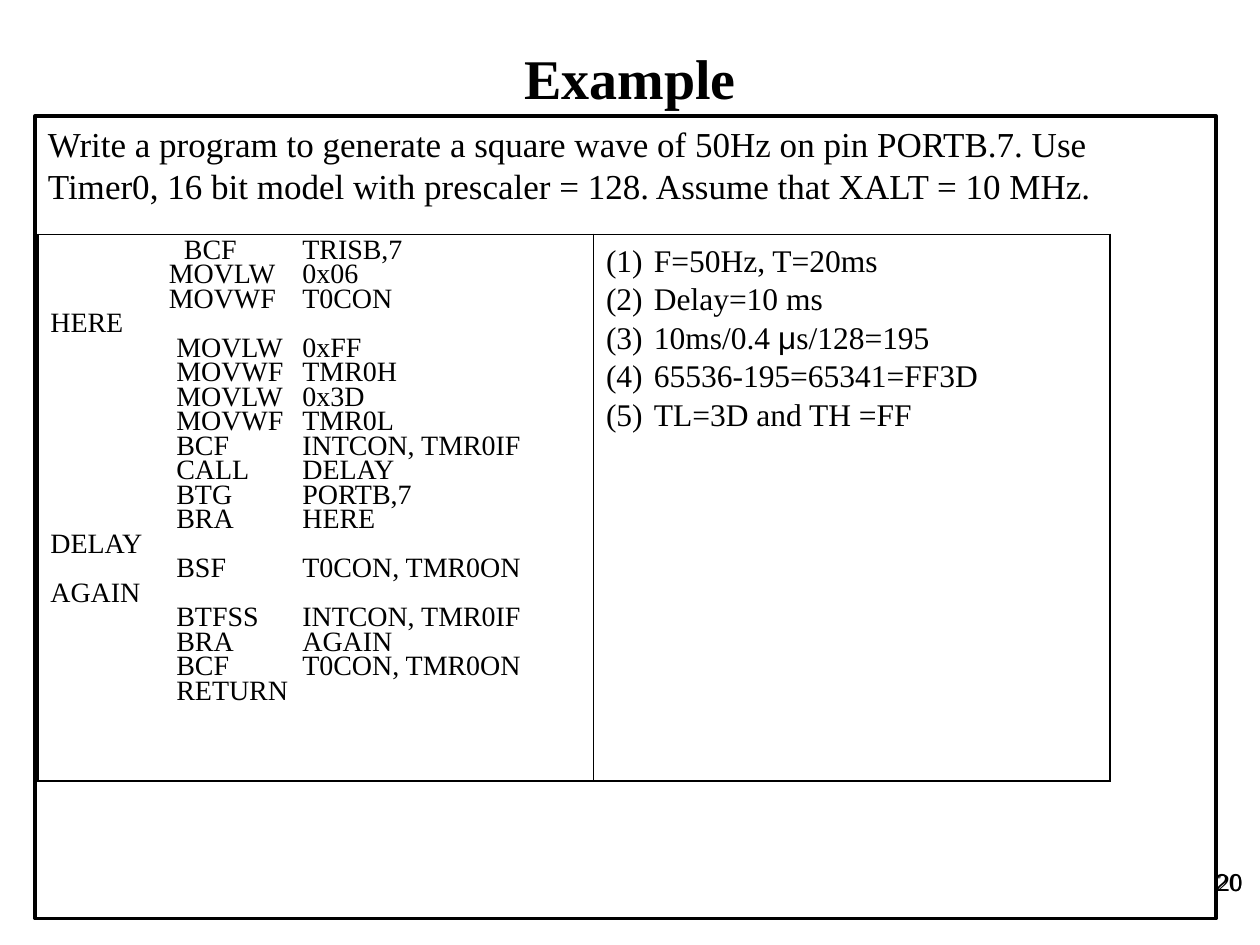
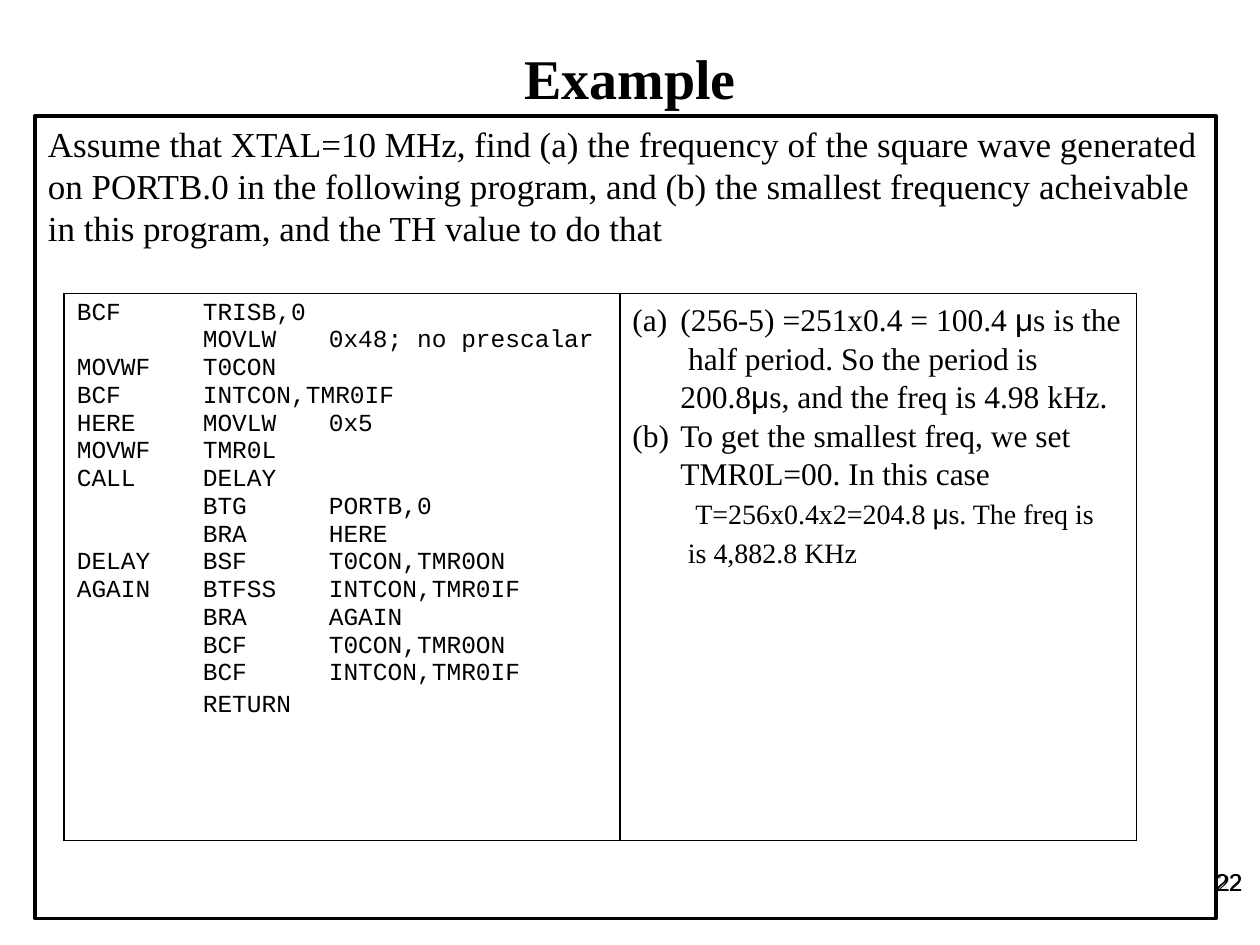
from itertools import groupby

from lxml.etree import SubElement
from pptx import Presentation
from pptx.dml.color import RGBColor
from pptx.enum.text import MSO_ANCHOR, MSO_AUTO_SIZE, PP_ALIGN
from pptx.oxml.ns import qn
from pptx.util import Inches, Pt

COLORS = {"ink": "000000", "paper": "FFFFFF"}
SERIF, SANS, MONO = "Times New Roman", "Arial", "Courier New"

SETUP_CODE = """\
BCF\tTRISB,7
MOVLW\t0x06
MOVWF\tT0CON""".split("\n")

SQUARE_WAVE_CODE = """\
HERE
\tMOVLW\t0xFF
\tMOVWF\tTMR0H
\tMOVLW\t0x3D
\tMOVWF\tTMR0L
\tBCF\tINTCON, TMR0IF
\tCALL\tDELAY
\tBTG\tPORTB,7
\tBRA\tHERE
DELAY
\tBSF\tT0CON, TMR0ON
AGAIN
\tBTFSS\tINTCON, TMR0IF
\tBRA\tAGAIN
\tBCF\tT0CON, TMR0ON
\tRETURN""".split("\n")

FREQUENCY_CODE = """\
BCF\tTRISB,0
\tMOVLW\t0x48; no prescalar
MOVWF\tT0CON
BCF\tINTCON,TMR0IF
HERE\tMOVLW\t0x5
MOVWF\tTMR0L
CALL\tDELAY
\tBTG\tPORTB,0
\tBRA\tHERE
DELAY\tBSF\tT0CON,TMR0ON
AGAIN\tBTFSS\tINTCON,TMR0IF
\tBRA\tAGAIN
\tBCF\tT0CON,TMR0ON
\tBCF\tINTCON,TMR0IF
\tRETURN""".split("\n")


def write(frame, text, size=18, font=SERIF, bold=False, align=PP_ALIGN.LEFT,
          line=None, before=None, left=0, first=0, numbering=None):
    """Add one paragraph, filling the first one if it is still empty."""
    paragraph = frame.paragraphs[0]
    if paragraph.runs:
        paragraph = frame.add_paragraph()
    paragraph.alignment = align
    if line:
        paragraph.line_spacing = Pt(line)
    if before is not None:
        paragraph.space_before = Pt(before)

    props = paragraph._p.get_or_add_pPr()
    props.set("marL", str(Inches(left)))
    props.set("indent", str(Inches(first)))
    props.set("defTabSz", str(Inches(1)))
    if numbering:
        SubElement(props, qn("a:buAutoNum"), type=numbering)
    else:
        SubElement(props, qn("a:buNone"))

    for is_mu, letters in groupby(text, lambda letter: letter == "μ"):
        run = paragraph.add_run()
        run.text = "".join(letters)
        run.font.name = SANS if is_mu else font
        run.font.size = Pt(size)
        run.font.bold = bold
        run.font.color.rgb = RGBColor.from_string(COLORS["ink"])
        run._r.get_or_add_rPr().set("kern", "0")


class ExampleDeck:
    def __init__(self):
        self.presentation = Presentation()
        self.presentation.slide_width = Inches(10)
        self.presentation.slide_height = Inches(7.5)
        self.slide = None

    def start_slide(self, question, number):
        layout = self.presentation.slide_layouts[1]
        self.slide = self.presentation.slides.add_slide(layout)
        background = self.slide.background.fill
        background.solid()
        background.fore_color.rgb = RGBColor.from_string(COLORS["paper"])
        self.page_number(number, 7.63, SANS)
        self.title("Example")
        self.question(question)

    def place(self, shape, left, top, width, height):
        shape.left, shape.top = Inches(left), Inches(top)
        shape.width, shape.height = Inches(width), Inches(height)
        frame = shape.text_frame
        frame.word_wrap = True
        frame.auto_size = MSO_AUTO_SIZE.NONE
        return frame

    def title(self, text):
        frame = self.place(self.slide.shapes.title, 0.75, 0.15, 8.5, 0.93)
        frame.vertical_anchor = MSO_ANCHOR.MIDDLE
        write(frame, text, size=32, bold=True, align=PP_ALIGN.CENTER)

    def question(self, text):
        body = self.slide.placeholders[1]
        frame = self.place(body, 0.28, 0.92, 9.37, 6.37)
        frame.vertical_anchor = MSO_ANCHOR.TOP
        body.line.color.rgb = RGBColor.from_string(COLORS["ink"])
        body.line.width = Pt(2.25)
        write(frame, text, size=20)

    def page_number(self, number, left, font):
        box = self.slide.shapes.add_textbox(0, 0, 0, 0)
        frame = self.place(box, left, 6.83, 9.96 - left, 0.5)
        write(frame, str(number), size=14, font=font, align=PP_ALIGN.RIGHT)

    def solution_table(self, left, top):
        """Add the bordered table and return its code and working frames."""
        widths, height = (4.41, 4.1), 4.34
        table = self.slide.shapes.add_table(
            1, 2, Inches(left), Inches(top), Inches(sum(widths)), Inches(height)).table
        table.first_row = table.horz_banding = False
        for column, width in zip(table.columns, widths):
            column.width = Inches(width)
        for cell in table.iter_cells():
            props = cell._tc.get_or_add_tcPr()
            for side in ("a:lnL", "a:lnR", "a:lnT", "a:lnB"):
                border = SubElement(props, qn(side), w=str(Pt(1)))
                fill = SubElement(border, qn("a:solidFill"))
                SubElement(fill, qn("a:srgbClr"), val=COLORS["ink"])
            cell.fill.background()
        return [cell.text_frame for cell in table.iter_cells()]

    def working(self, frame, steps, numbering):
        for step in steps:
            write(frame, step, line=22, left=0.38, first=-0.38, numbering=numbering)


def square_wave_slide(deck):
    deck.start_slide(
        "Write a program to generate a square wave of 50Hz on pin PORTB.7. "
        "Use Timer0, 16 bit model with prescaler = 128. "
        "Assume that XALT = 10 MHz.", 20)
    code, working = deck.solution_table(0.3, 1.86)
    for instruction, indent in zip(SETUP_CODE, (1.06, 0.94, 0.94)):
        write(code, instruction, size=16, line=14, first=indent)
    for instruction in SQUARE_WAVE_CODE:
        write(code, instruction, size=16, line=14)
    deck.working(working, ["F=50Hz, T=20ms", "Delay=10 ms",
                           "10ms/0.4 μs/128=195", "65536-195=65341=FF3D",
                           "TL=3D and TH =FF"], "arabicParenBoth")
    deck.page_number(20, 7.88, SERIF)


def frequency_slide(deck):
    deck.start_slide(
        "Assume that XTAL=10 MHz, find (a) the frequency of the square wave "
        "generated on PORTB.0 in the following program, and (b) the smallest "
        "frequency acheivable in this program, and the TH value to do that", 22)
    code, working = deck.solution_table(0.51, 2.33)
    for instruction in FREQUENCY_CODE:
        gap = 2.5 if instruction == FREQUENCY_CODE[-1] else 0
        write(code, instruction, size=14, font=MONO, before=gap)
    deck.working(working, [
        "(256-5) =251x0.4 = 100.4 μs is the  half period. "
        "So the period is 200.8μs, and the freq is 4.98 kHz.",
        "To get the smallest freq, we set TMR0L=00. In this case",
    ], "alphaLcParenBoth")
    write(working, "T=256x0.4x2=204.8 μs. The freq is", size=16, line=22, left=0.5)
    write(working, "is 4,882.8 KHz", size=16, line=22, left=0.44)
    deck.page_number(22, 7.88, SERIF)


def main():
    deck = ExampleDeck()
    square_wave_slide(deck)
    frequency_slide(deck)
    deck.presentation.save("out.pptx")


if __name__ == "__main__":
    main()
